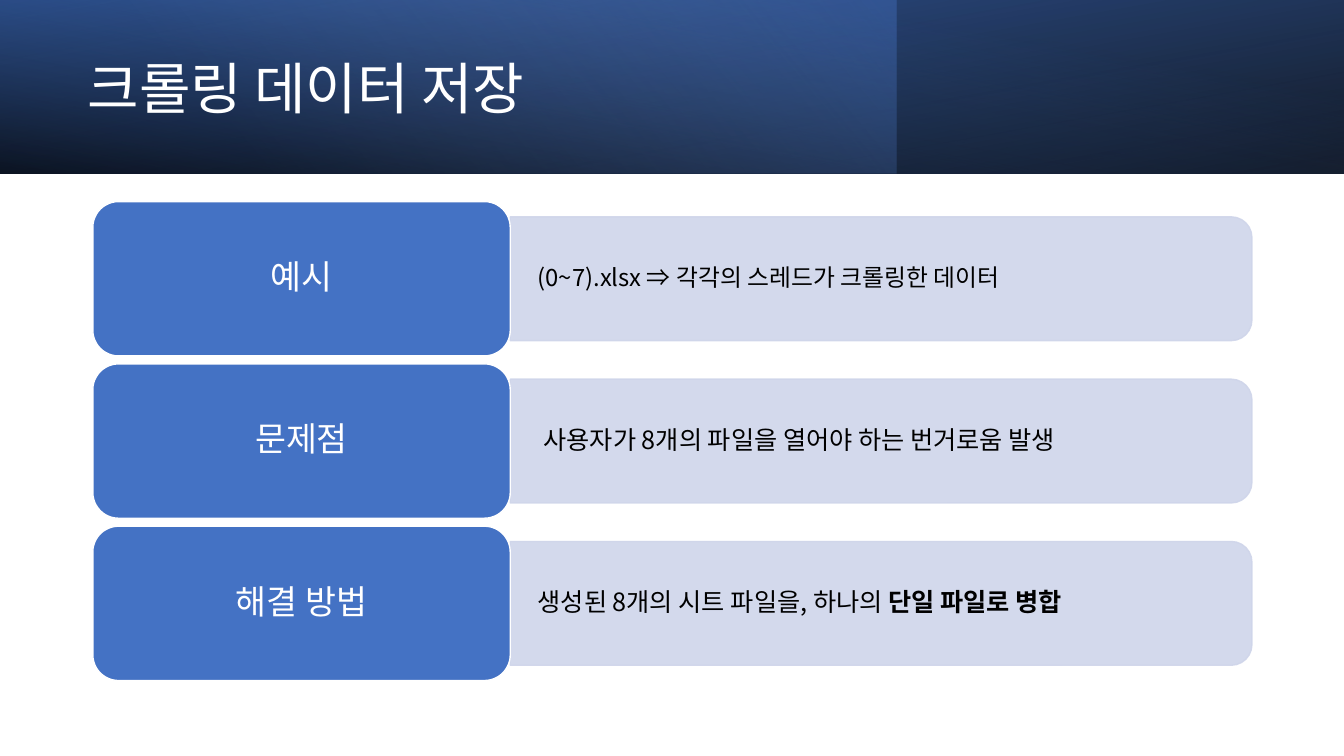
"""Build the slide on saving crawled data."""
import dataclasses

import lxml.etree
import pptx
import pptx.dml.color
import pptx.enum.shapes
import pptx.enum.text
import pptx.oxml.ns
import pptx.util

Cm = pptx.util.Cm
Shapes = pptx.enum.shapes.MSO_SHAPE
Align = pptx.enum.text.PP_ALIGN


@dataclasses.dataclass(frozen=True)
class Theme:
    """Colours, font and type sizes of the slide."""
    font: str = "Noto Sans CJK KR"
    white: str = "FFFFFF"
    black: str = "000000"
    accent: str = "4472C4"
    accent_dark: str = "2F5597"
    accent_light: str = "8FAADC"
    pale: str = "CFD5EA"
    title_size: int = 40
    label_size: int = 24
    body_size: int = 18
    small_size: int = 17


THEME = Theme()
SLIDE_WIDTH, SLIDE_HEIGHT = 33.87, 19.05
BAND_HEIGHT = 4.38
LABEL_LEFT, LABEL_TOP, LABEL_WIDTH, LABEL_HEIGHT = 2.34, 5.08, 10.52, 3.89
ROW_PITCH = 4.09
BAR_LEFT, BAR_LENGTH, BAR_THICKNESS = 12.86, 18.69, 3.12
DETAIL_WIDTH, DETAIL_HEIGHT = 18.54, 2.82
DETAIL_INSET = 0.69

ROWS = [
    ("예시", THEME.small_size, 0, [("(0~7).xlsx ⇒ 각각의 스레드가 크롤링한 데이터", False)]),
    ("문제점", THEME.body_size, 0.15, [("사용자가 8개의 파일을 열어야 하는 번거로움 발생", False)]),
    ("해결 방법", THEME.body_size, 0,
     [("생성된 8개의 시트 파일을, 하나의 ", False), ("단일 파일로 병합", True)]),
]


def rgb(value):
    """Turn a hex string into a colour."""
    return pptx.dml.color.RGBColor.from_string(value)


def add_child(parent, tag, **attributes):
    """Append a drawing element to a parent element."""
    values = {name: str(value) for name, value in attributes.items()}
    return lxml.etree.SubElement(parent, pptx.oxml.ns.qn(tag), values)


def set_alpha(fill_owner, percent):
    """Make the solid colour below an element partly transparent."""
    for colour in fill_owner.iter(pptx.oxml.ns.qn("a:srgbClr")):
        add_child(colour, "a:alpha", val=percent * 1000)


def add_block(page, kind, left, top, width, height):
    """Add a shape without shadow, measured in centimetres."""
    shape = page.shapes.add_shape(kind, Cm(left), Cm(top), Cm(width), Cm(height))
    shape.shadow.inherit = False
    return shape


def paint(shape, fill, line):
    """Give a shape a solid fill and a one point line."""
    shape.fill.solid()
    shape.fill.fore_color.rgb = rgb(fill)
    shape.line.color.rgb = rgb(line)
    shape.line.width = pptx.util.Pt(1)


def add_gradient_band(page, width, angle, stops, flipped=False, rotation=0):
    """Add a header band filled with a transparent linear gradient."""
    band = add_block(page, Shapes.RECTANGLE, 0, 0, width, BAND_HEIGHT)
    band.rotation = rotation
    band.line.fill.background()
    properties = band.element.spPr
    if flipped:
        properties.xfrm.set("flipH", "1")
    gradient = add_child(properties, "a:gradFill", rotWithShape=1)
    stop_list = add_child(gradient, "a:gsLst")
    for position, colour, alpha in stops:
        stop = add_child(stop_list, "a:gs", pos=position * 1000)
        add_child(stop, "a:srgbClr", val=colour)
        set_alpha(stop, alpha)
    add_child(gradient, "a:lin", ang=angle * 60000, scaled=0)
    properties.find(pptx.oxml.ns.qn("a:prstGeom")).addnext(gradient)


def write(shape, spans, size, colour, alignment=Align.LEFT, **frame_format):
    """Write one vertically centred paragraph into a shape."""
    frame = shape.text_frame
    settings = {"word_wrap": True,
                "vertical_anchor": pptx.enum.text.MSO_ANCHOR.MIDDLE, **frame_format}
    for name, value in settings.items():
        setattr(frame, name, value)
    para = frame.paragraphs[0]
    para.alignment = alignment
    para.line_spacing = 0.9
    for text, bold in spans:
        span = para.add_run()
        span.text = text
        font_format = {"name": THEME.font, "size": pptx.util.Pt(size), "bold": bold}
        for name, value in font_format.items():
            setattr(span.font, name, value)
        span.font.color.rgb = rgb(colour)
        add_child(span.font._element, "a:ea", typeface=THEME.font)


def add_text(page, left, top, width, height, *content, **frame_format):
    """Add a text box measured in centimetres."""
    box = page.shapes.add_textbox(Cm(left), Cm(top), Cm(width), Cm(height))
    write(box, *content, **frame_format)


def add_row(page, top, label, size, indent, spans):
    """Add a label with its detail bar."""
    middle = top + LABEL_HEIGHT / 2
    bar = add_block(page, Shapes.ROUND_2_SAME_RECTANGLE,
                    BAR_LEFT + (BAR_LENGTH - BAR_THICKNESS) / 2,
                    middle - BAR_LENGTH / 2, BAR_THICKNESS, BAR_LENGTH)
    bar.rotation = 90
    paint(bar, THEME.pale, THEME.pale)
    set_alpha(bar.element.spPr, 90)
    add_text(page, BAR_LEFT, middle - DETAIL_HEIGHT / 2, DETAIL_WIDTH, DETAIL_HEIGHT,
             spans, size, THEME.black,
             margin_left=Cm(DETAIL_INSET + indent), margin_right=Cm(DETAIL_INSET))
    tab = add_block(page, Shapes.ROUNDED_RECTANGLE,
                    LABEL_LEFT, top, LABEL_WIDTH, LABEL_HEIGHT)
    paint(tab, THEME.accent, THEME.white)
    write(tab, [(label, False)], THEME.label_size, THEME.white, Align.CENTER)


def main():
    """Build and save the deck."""
    deck = pptx.Presentation()
    deck.slide_width, deck.slide_height = Cm(SLIDE_WIDTH), Cm(SLIDE_HEIGHT)
    page = deck.slides.add_slide(deck.slide_layouts[6])
    add_gradient_band(page, SLIDE_WIDTH, 100,
                      [(0, THEME.black, 96), (100, THEME.accent_dark, 100)],
                      flipped=True, rotation=180)
    add_gradient_band(page, SLIDE_WIDTH * 2 / 3, 140,
                      [(0, THEME.accent, 41), (74, THEME.accent_light, 0)])
    add_gradient_band(page, SLIDE_WIDTH, 260,
                      [(0, THEME.black, 63), (78, THEME.accent, 15)], flipped=True)
    add_text(page, 1.96, 0.69, 14.15, 3.23,
             [("크롤링 데이터 저장", False)], THEME.title_size, THEME.white)
    for index, row in enumerate(ROWS):
        add_row(page, LABEL_TOP + index * ROW_PITCH, *row)
    deck.save("out.pptx")


if __name__ == "__main__":
    main()
